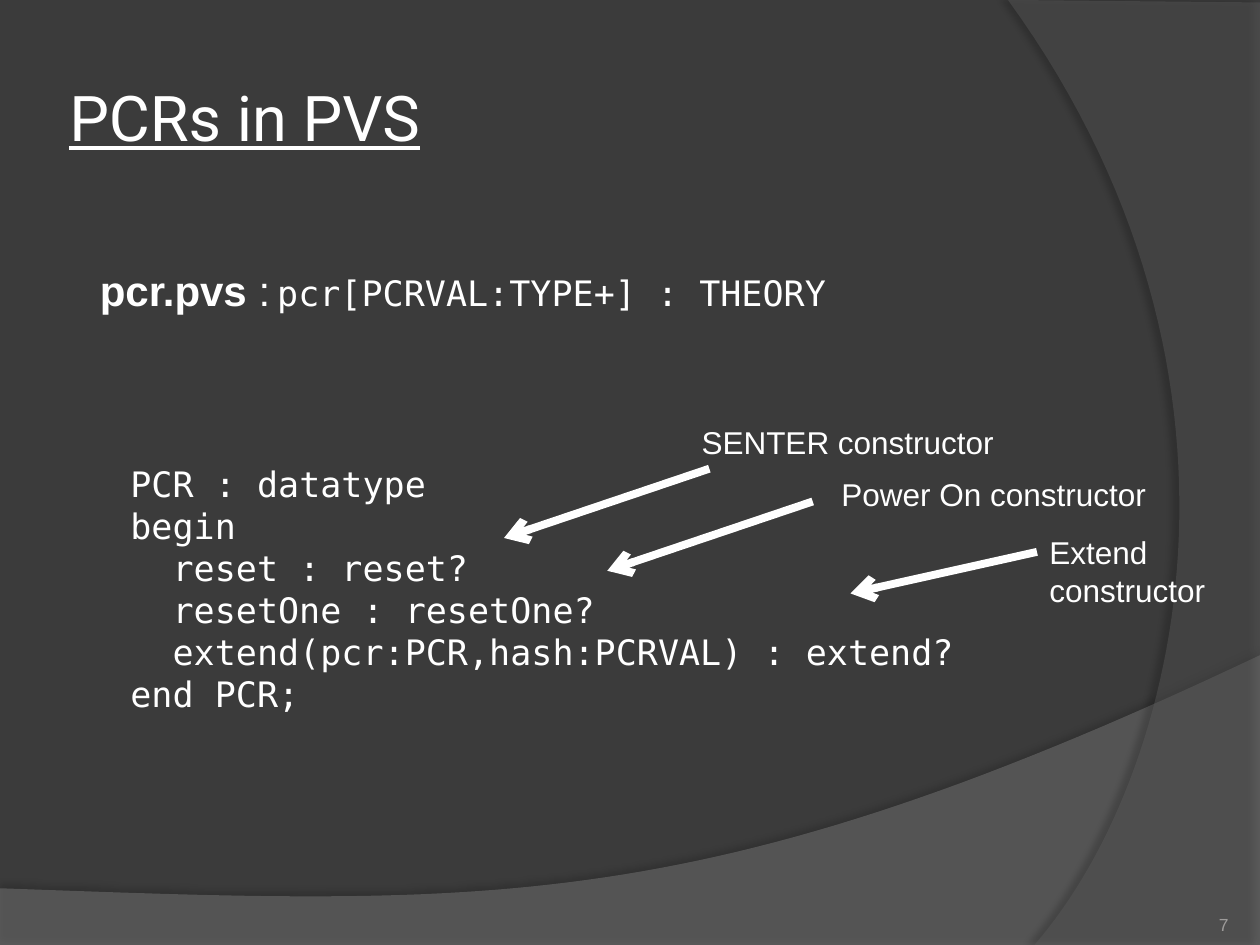
from lxml import etree
from pptx import Presentation
from pptx.dml.color import RGBColor
from pptx.enum.shapes import MSO_CONNECTOR
from pptx.enum.text import MSO_ANCHOR, MSO_AUTO_SIZE, PP_ALIGN
from pptx.oxml.ns import qn
from pptx.util import Inches, Pt

LEFT, RIGHT = PP_ALIGN.LEFT, PP_ALIGN.RIGHT
TOP, MIDDLE, BOTTOM = MSO_ANCHOR.TOP, MSO_ANCHOR.MIDDLE, MSO_ANCHOR.BOTTOM
SANS, MONO = "Arial", "DejaVu Sans Mono"
COLORS = {"back": "3B3B3B", "text": "FFFFFF", "number": "9D9B9A",
          "wave": "7F7F7F", "arc": "5E5E5E", "shadow": "000000"}

# Content
TITLE = "PCRs in PVS"
THEORY = [(" pcr.pvs ", dict(size=24, bold=True)),
          (":\t", dict(size=24)),
          ("pcr[PCRVAL:TYPE+] : THEORY", dict(size=20, name=MONO))]
THEORY_TAB = 1.64
CODE = [(0, "PCR : datatype"), (0, "begin"), (1, "reset : reset?"),
        (1, "resetOne : resetOne?"),
        (1, "extend(pcr:PCR,hash:PCRVAL) : extend?"), (0, "end PCR;")]
CODE_INDENT, CODE_GAP = 0.335, 84
LABELS = [("SENTER constructor", (5.47, 3.31, 3.03, 0.4)),
          ("Power On constructor", (6.58, 3.72, 3.03, 0.4)),
          ("Extend constructor", (8.23, 4.18, 1.59, 0.71))]
ARROWS = [(5.63, 3.72, 4, 4.27), (6.45, 3.98, 4.82, 4.53),
          (8.23, 4.38, 6.75, 4.71)]
# Background shapes: corners, then a Bezier curve that leaves the last corner
SWEEPS = [
    dict(corners=[(0, 7.05), (0, 7.51), (10, 7.51), (10, 5.2)],
         curve=[(5.59, 7.29), (3.91, 7.19), (0, 7.05)],
         color="wave", alpha=45, shadow=(35, 4, 3.5, 270)),
    dict(corners=[(10, 0.02), (10, 7.5), (8.21, 7.5)],
         curve=[(9.35, 6.19), (10.18, 3), (8, 0)],
         color="arc", alpha=40, shadow=(45, 4, 4, 180)),
]


def rgb(name):
    return RGBColor.from_string(COLORS[name])


def add_xml(parent, tag, **attrs):
    return etree.SubElement(parent, qn(tag), {k: str(v) for k, v in attrs.items()})


def place(sp, box):
    sp.left, sp.top, sp.width, sp.height = map(Inches, box)


def add_run(p, text, color="text", **fmt):
    r = p.add_run()
    r.text = text
    for key, value in {"name": SANS, "bold": False, **fmt}.items():
        setattr(r.font, key, Pt(value) if key == "size" else value)
    r.font.color.rgb = rgb(color)


def set_frame(tf, anchor=TOP, inset=None):
    tf.word_wrap, tf.auto_size, tf.vertical_anchor = True, MSO_AUTO_SIZE.NONE, anchor
    if inset is not None:
        for side in ("left", "right", "top", "bottom"):
            setattr(tf, f"margin_{side}", Inches(inset))


def plain_paragraph(p, indent=0, before=0):
    p.alignment, p.line_spacing, p.space_before = LEFT, 1.0, Pt(before)
    pPr = p._p.get_or_add_pPr()
    pPr.set("marL", str(Inches(indent)))
    pPr.set("indent", "0")
    add_xml(pPr, "a:buNone")
    return pPr


def text_box(s, text, box, align=LEFT, anchor=TOP, inset=None, **fmt):
    tf = s.shapes.add_textbox(*map(Inches, box)).text_frame
    set_frame(tf, anchor, inset)
    tf.paragraphs[0].alignment = align
    add_run(tf.paragraphs[0], text, **fmt)


def bezier(points, steps=60):
    for i in range(1, steps + 1):
        t = i / steps
        weights = ((1 - t) ** 3, 3 * t * (1 - t) ** 2, 3 * t * t * (1 - t), t ** 3)
        yield tuple(sum(w * pt[axis] for w, pt in zip(weights, points))
                    for axis in (0, 1))


def add_sweep(s, layer, corners, curve, color, alpha, shadow):
    points = [(Inches(x), Inches(y))
              for x, y in corners + list(bezier(corners[-1:] + curve))]
    fb = s.shapes.build_freeform(*points[0])
    fb.add_line_segments(points[1:], close=True)
    sp = fb.convert_to_shape()
    sp.shadow.inherit = False
    sp.line.fill.background()
    sp.fill.solid()
    sp.fill.fore_color.rgb = rgb(color)
    spPr = sp._element.spPr
    add_xml(spPr.find(qn("a:solidFill"))[0], "a:alpha", val=alpha * 1000)
    opacity, blur, dist, angle = shadow
    outer = add_xml(spPr.find(qn("a:effectLst")), "a:outerShdw", blurRad=Pt(blur),
                    dist=Pt(dist), dir=angle * 60000, rotWithShape=0)
    clr = add_xml(outer, "a:srgbClr", val=COLORS["shadow"])
    add_xml(clr, "a:alpha", val=opacity * 1000)
    s.shapes._spTree.insert(2 + layer, sp._element)  # behind the text


def add_arrow(s, ends):
    line = s.shapes.add_connector(MSO_CONNECTOR.STRAIGHT, *map(Inches, ends))
    line.line.color.rgb = rgb("text")
    line.line.width = Pt(4.5)
    add_xml(line.line._get_or_add_ln(), "a:tailEnd", type="arrow")
    add_xml(line._element.spPr, "a:effectLst")


def main():
    prs = Presentation()
    prs.slide_width, prs.slide_height = Inches(10), Inches(7.5)
    s = prs.slides.add_slide(prs.slide_layouts[1])
    s.background.fill.solid()
    s.background.fill.fore_color.rgb = rgb("back")
    for layer, sweep in enumerate(SWEEPS):
        add_sweep(s, layer, **sweep)

    # Title
    title, body = s.placeholders
    place(title, (0.5, 0.3, 8.17, 1.25))
    set_frame(title.text_frame, MIDDLE, 0.05)
    p = title.text_frame.paragraphs[0]
    p.alignment = LEFT
    add_run(p, TITLE, size=36, name="Roboto", underline=True)

    # Theory line and datatype code
    place(body, (0.6, 2.05, 8.8, 4.86))
    tf = body.text_frame
    set_frame(tf)
    p = tf.paragraphs[0]
    tabs = add_xml(plain_paragraph(p), "a:tabLst")
    add_xml(tabs, "a:tab", pos=Inches(THEORY_TAB), algn="l")
    for text, fmt in THEORY:
        add_run(p, text, **fmt)
    for i, (level, text) in enumerate(CODE):
        p = tf.add_paragraph()
        plain_paragraph(p, CODE_INDENT * (level + 1), 0 if i else CODE_GAP)
        add_run(p, text, size=20, name=MONO)

    # Slide number, arrows and their labels
    text_box(s, "7", (8.92, 7.02, 0.83, 0.4), RIGHT, BOTTOM, 0,
             size=10, color="number")
    for ends in ARROWS:
        add_arrow(s, ends)
    for text, box in LABELS:
        text_box(s, text, box, size=18)
    prs.save("out.pptx")


if __name__ == "__main__":
    main()
